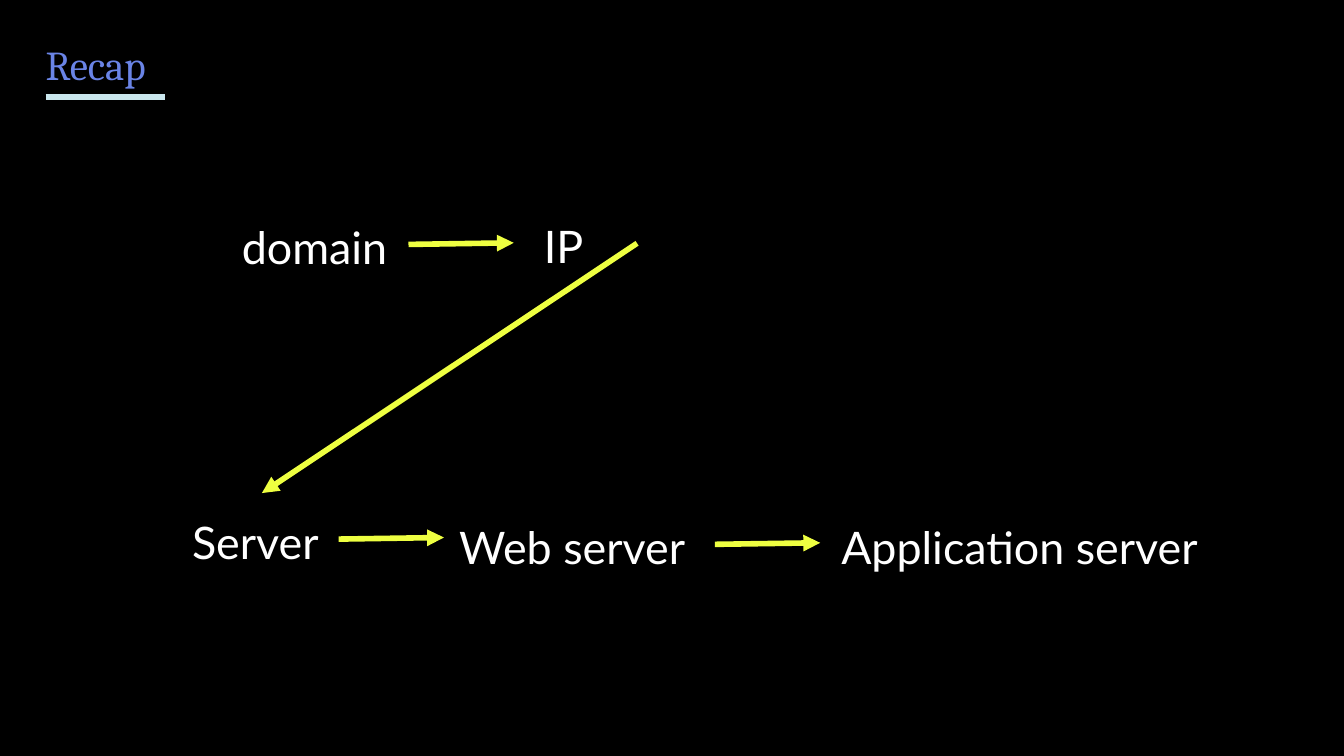
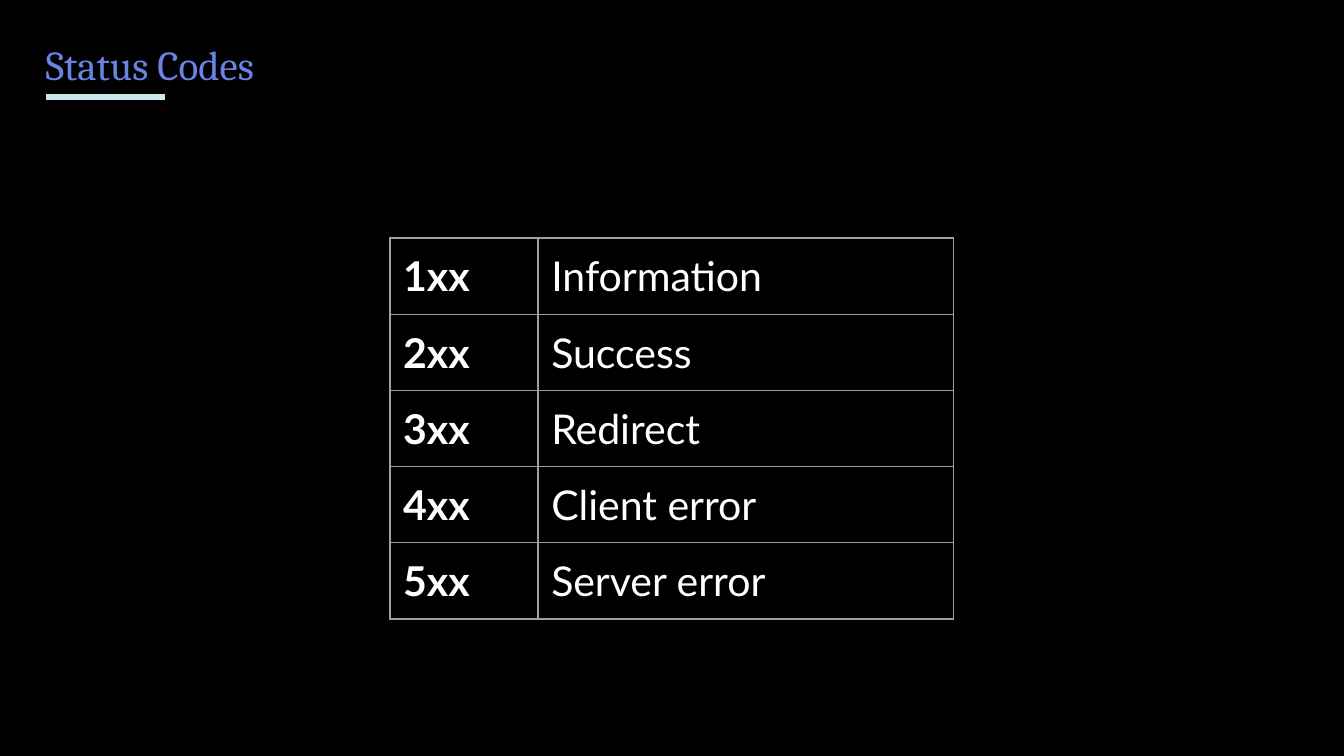
from pptx import Presentation
from pptx.dml.color import RGBColor
from pptx.enum.shapes import MSO_CONNECTOR
from pptx.enum.text import MSO_ANCHOR, MSO_AUTO_SIZE, PP_ALIGN
from pptx.oxml.ns import qn
from pptx.util import Cm, Pt
from lxml import etree

STRAIGHT = MSO_CONNECTOR.STRAIGHT
TOP = MSO_ANCHOR.TOP
LEFT = PP_ALIGN.LEFT
NO_FIT = MSO_AUTO_SIZE.NONE

COLORS = {
    "back": "000000",
    "title": "6A84E6",
    "rule": "CAE7ED",
    "text": "FFFFFF",
    "arrow": "EEFF41",
    "grid": "9E9E9E",
}
HEAD, BODY = "Cambria", "Lato"
INSET = 0.25
BOX_H = 1.32

# Label, left, top, width in cm
NODES = [
    ("domain", 4.32, 3.76, 4.42),
    ("IP", 10.03, 3.73, 1.88),
    ("Server", 3.38, 9.32, 3.15),
    ("Web server", 8.43, 9.42, 5.03),
    ("Application server", 15.65, 9.42, 8.33),
]
# Starts of the short arrows, which all run the same way
STEPS = [(7.72, 4.62), (6.4, 10.19), (13.51, 10.29)]
STEP_W, STEP_RISE = 1.99, 0.03
LOOKUP = (12.04, 4.6, 4.95, 9.32)

CODES = [
    ("1xx", "Information"),
    ("2xx", "Success"),
    ("3xx", "Redirect"),
    ("4xx", "Client error"),
    ("5xx", "Server error"),
]
COLS = (2.8, 7.85)
ROW_H = 1.44


def rgb(name):
    return RGBColor.from_string(COLORS[name])


def style(par, font, size, color, bold=False):
    par.alignment = LEFT
    for run in par.runs:
        run.font.name = font
        run.font.size = Pt(size)
        run.font.bold = bold
        run.font.color.rgb = rgb(color)


def fill_box(box, text, font, size, color):
    """Put one line of text in a box with the shared insets and spacing."""
    frame = box.text_frame
    frame.text = text
    frame.word_wrap = True
    frame.auto_size = NO_FIT
    frame.vertical_anchor = TOP
    frame.margin_left = frame.margin_right = Cm(INSET)
    frame.margin_top = frame.margin_bottom = Cm(INSET)
    par = frame.paragraphs[0]
    par.line_spacing = 1.15
    par.space_before = Pt(0)
    par.space_after = Pt(16)
    style(par, font, size, color)


def add_line(slide, ends, color, arrow=False):
    line = slide.shapes.add_connector(STRAIGHT, *map(Cm, ends))
    line.line.color.rgb = rgb(color)
    line.line.width = Pt(3)
    if arrow:
        tail = etree.SubElement(line.line._get_or_add_ln(), qn("a:tailEnd"))
        tail.set("type", "triangle")
    etree.SubElement(line._element.spPr, qn("a:effectLst"))


def add_slide(deck, title, width):
    slide = deck.slides.add_slide(deck.slide_layouts.get_by_name("Title Only"))
    add_line(slide, (0.86, 1.83, 3.12, 1.83), "rule")
    box = slide.shapes.title
    box.left, box.top, box.width, box.height = map(
        Cm, (0.61, 0.36, width, BOX_H))
    fill_box(box, title, HEAD, 22, "title")
    return slide


def add_border(cell):
    props = cell._tc.get_or_add_tcPr()
    for side in ("lnL", "lnR", "lnT", "lnB"):
        edge = etree.SubElement(props, qn("a:" + side), w=str(Pt(0.75)))
        fill = etree.SubElement(edge, qn("a:solidFill"))
        etree.SubElement(fill, qn("a:srgbClr"), val=COLORS["grid"])


def build_recap(deck):
    slide = add_slide(deck, "Recap", 13.11)
    for text, x, y, width in NODES:
        box = slide.shapes.add_textbox(Cm(x), Cm(y), Cm(width), Cm(BOX_H))
        fill_box(box, text, BODY, 24, "text")
    add_line(slide, LOOKUP, "arrow", arrow=True)
    for x, y in STEPS:
        add_line(slide, (x, y, x + STEP_W, y - STEP_RISE), "arrow", arrow=True)


def build_codes(deck):
    slide = add_slide(deck, "Status Codes", 5.79)
    table = slide.shapes.add_table(
        len(CODES), len(COLS), Cm(7.37), Cm(4.5),
        Cm(sum(COLS)), Cm(ROW_H * len(CODES))).table
    table.first_row = table.horz_banding = False
    for col, width in zip(table.columns, COLS):
        col.width = Cm(width)
    for r, row in enumerate(CODES):
        table.rows[r].height = Cm(ROW_H)
        for c, text in enumerate(row):
            cell = table.cell(r, c)
            cell.text = text
            cell.margin_left = cell.margin_right = Cm(INSET)
            cell.margin_top = cell.margin_bottom = Cm(INSET)
            add_border(cell)
            cell.fill.background()
            style(cell.text_frame.paragraphs[0], BODY, 22, "text", c == 0)


def main():
    deck = Presentation()
    deck.slide_width, deck.slide_height = Cm(25.4), Cm(14.29)
    back = deck.slide_master.background.fill
    back.solid()
    back.fore_color.rgb = rgb("back")
    build_recap(deck)
    build_codes(deck)
    deck.save("out.pptx")


if __name__ == "__main__":
    main()
